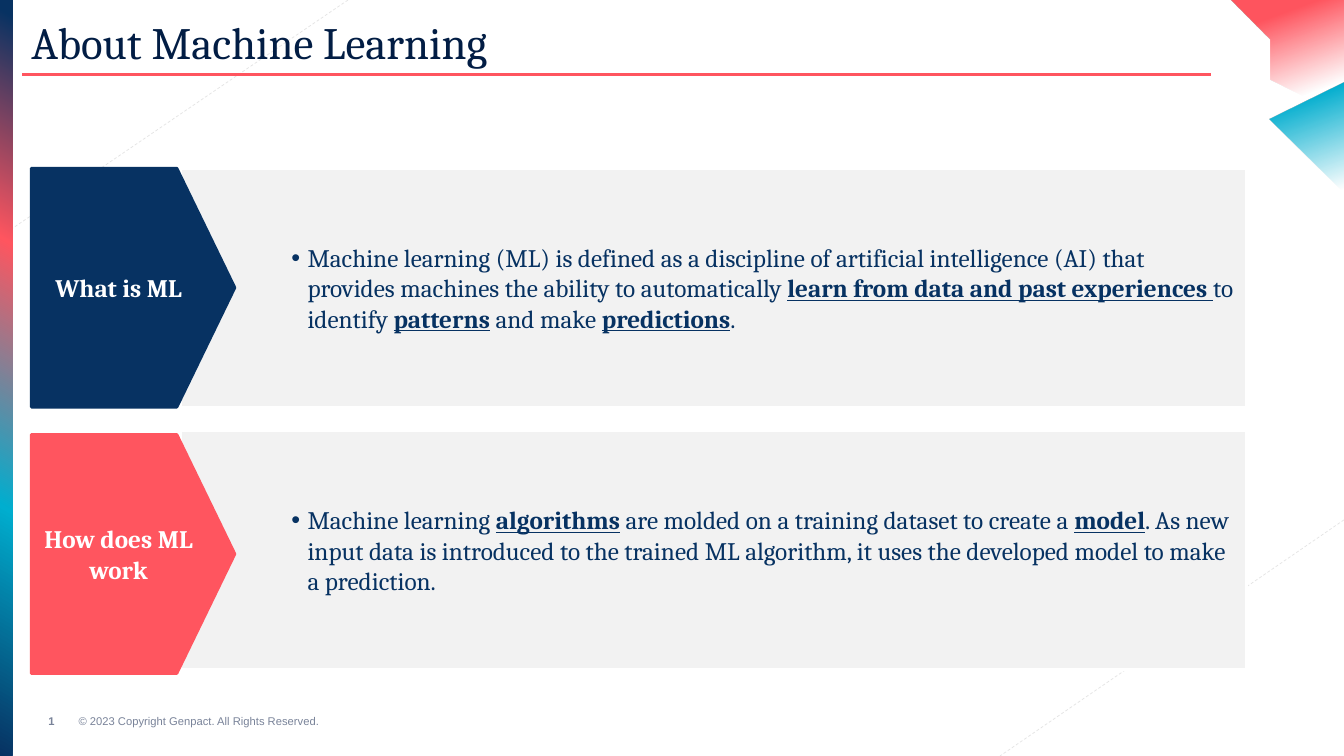
from dataclasses import dataclass

from pptx import Presentation
from pptx.dml.color import RGBColor
from pptx.enum.dml import MSO_LINE
from pptx.enum.shapes import MSO_CONNECTOR, MSO_SHAPE
from pptx.enum.text import MSO_ANCHOR, MSO_AUTO_SIZE, PP_ALIGN
from pptx.oxml.ns import qn
from pptx.util import Cm, Pt
from lxml import etree

STRAIGHT = MSO_CONNECTOR.STRAIGHT
PENTAGON = MSO_SHAPE.PENTAGON
RECTANGLE = MSO_SHAPE.RECTANGLE
DASH = MSO_LINE.DASH
MIDDLE = MSO_ANCHOR.MIDDLE
TOP = MSO_ANCHOR.TOP
NO_AUTOFIT = MSO_AUTO_SIZE.NONE
LEFT = PP_ALIGN.LEFT
CENTER = PP_ALIGN.CENTER


@dataclass(frozen=True)
class Theme:
    navy: str = "073262"
    ink: str = "021D44"
    coral: str = "FF555F"
    teal: str = "00AECF"
    panel: str = "F2F2F2"
    white: str = "FFFFFF"
    guide: str = "E4E4E4"
    muted: str = "798399"
    serif: str = "Cambria"
    sans: str = "Arial"
    title_size: int = 32
    body_size: int = 18
    footer_size: int = 8


THEME = Theme()
BAND_HEIGHT = 6.02

SECTIONS = [
    ("What is ML", THEME.navy, 4.24, 4.24, [
        "Machine learning (ML) is defined as a discipline of artificial intelligence (AI) "
        "that provides machines the ability to automatically ",
        "learn from data and past experiences ",
        "to identify ",
        "patterns",
        " and make ",
        "predictions",
        ".",
    ]),
    ("How does ML work", THEME.coral, 10.85, 10.95, [
        "Machine learning ",
        "algorithms",
        " are molded on a training dataset to create a ",
        "model",
        ". As new input data is introduced to the trained ML algorithm, "
        "it uses the developed model to make a prediction.",
    ]),
]


def rgb(color):
    return RGBColor.from_string(color)


def place(shape, left, top, width, height):
    shape.left, shape.top = Cm(left), Cm(top)
    shape.width, shape.height = Cm(width), Cm(height)


def add_span(para, text, *, size=THEME.body_size, color=THEME.navy,
             font=THEME.serif, bold=False, underline=False):
    span = para.add_run()
    span.text = text
    span.font.name = font
    span.font.size = Pt(size)
    span.font.bold = bold
    span.font.underline = underline
    span.font.color.rgb = rgb(color)


def format_frame(frame, margins, anchor=MIDDLE, wrap=True):
    frame.auto_size = NO_AUTOFIT
    frame.word_wrap = wrap
    frame.vertical_anchor = anchor
    (frame.margin_left, frame.margin_top,
     frame.margin_right, frame.margin_bottom) = (Cm(margin) for margin in margins)


def paint(shape, fill, outline):
    shape.fill.solid()
    shape.fill.fore_color.rgb = rgb(fill)
    shape.line.color.rgb = rgb(outline)
    shape.line.width = Pt(2)


def paint_gradient(shape, stops, clockwise_angle):
    shape.shadow.inherit = False
    shape.line.fill.background()
    shape.fill.gradient()
    shape.fill.gradient_angle = 360 - clockwise_angle
    stop_list = shape._element.spPr.find(qn("a:gradFill")).find(qn("a:gsLst"))
    for stop in list(stop_list):
        stop_list.remove(stop)
    for position, color, opacity in stops:
        stop = etree.SubElement(stop_list, qn("a:gs"), pos=str(position * 1000))
        tint = etree.SubElement(stop, qn("a:srgbClr"), val=color)
        if opacity < 100:
            etree.SubElement(tint, qn("a:alpha"), val=str(opacity * 1000))


def add_facet(page, points, color, fade_end):
    builder = page.shapes.build_freeform(*points[0], scale=Cm(1))
    builder.add_line_segments(points[1:], close=True)
    paint_gradient(builder.convert_to_shape(),
                   [(20, color, 100), (fade_end, color, 0)], 70)


def add_rule(page, start, end, color, width, dash=None):
    rule = page.shapes.add_connector(STRAIGHT, *(Cm(value) for value in start + end))
    rule.line.color.rgb = rgb(color)
    rule.line.width = Pt(width)
    if dash:
        rule.line.dash_style = dash
    etree.SubElement(rule._element.spPr, qn("a:effectLst"))
    return rule


def add_guide(page, start, end):
    guide = add_rule(page, start, end, THEME.guide, 0.5, DASH)
    page.shapes._spTree.insert(2, guide._element)


def add_side_bar(page):
    bar = page.shapes.add_shape(RECTANGLE, 0, 0, Cm(0.32), Cm(19.05))
    paint_gradient(bar, [(0, THEME.navy, 100), (33, THEME.teal, 100),
                         (68, THEME.coral, 100), (98, THEME.navy, 100)], 300)


def set_title(page, text):
    title = page.shapes.title
    place(title, 0.79, 0.2, 31.39, 1.68)
    format_frame(title.text_frame, (0, 0.13, 0.25, 0.13))
    para = title.text_frame.paragraphs[0]
    para.alignment = LEFT
    add_span(para, text, size=THEME.title_size, color=THEME.ink)


def set_bullet(para, indent, hanging):
    properties = para._p.get_or_add_pPr()
    properties.set("marL", str(Cm(indent)))
    properties.set("indent", str(-Cm(hanging)))
    etree.SubElement(properties, qn("a:buFont"), typeface=THEME.sans)
    etree.SubElement(properties, qn("a:buChar"), char="•")


def fill_band(band, top, spans):
    place(band, 4.55, top, 26.87, BAND_HEIGHT)
    paint(band, THEME.panel, THEME.white)
    format_frame(band.text_frame, (1.52, 0.13, 0.25, 0.13))
    para = band.text_frame.paragraphs[0]
    para.level = 1
    set_bullet(para, 1.68, 0.41)
    para.alignment = LEFT
    para.space_before = Pt(0)
    for index, text in enumerate(spans):
        emphasis = index % 2 == 1
        add_span(para, text, bold=emphasis, underline=emphasis)


def add_label(page, text, color, top):
    label = page.shapes.add_shape(PENTAGON, Cm(0.79), Cm(top), Cm(5.13), Cm(BAND_HEIGHT))
    label.adjustments[0] = 0.285
    label.shadow.inherit = False
    paint(label, color, color)
    format_frame(label.text_frame, (0.25, 0.13, 0.25, 0.13))
    para = label.text_frame.paragraphs[0]
    para.alignment = CENTER
    add_span(para, text, color=THEME.white, bold=True)


def add_footer(page, text, left, width, anchor=TOP, wrap=True, bold=False):
    box = page.shapes.add_textbox(Cm(left), Cm(18.01), Cm(width), Cm(0.33))
    format_frame(box.text_frame, (0, 0, 0, 0), anchor, wrap)
    add_span(box.text_frame.paragraphs[0], text, size=THEME.footer_size,
             color=THEME.muted, font=THEME.sans, bold=bold)


def main():
    deck = Presentation()
    deck.slide_width, deck.slide_height = Cm(33.87), Cm(19.05)
    page = deck.slides.add_slide(deck.slide_layouts[3])

    add_guide(page, (8.77, 0), (0.32, 5.75))
    add_guide(page, (33.87, 13.1), (25.2, 19.05))
    add_facet(page, [(30.53, 0), (32.46, 1.32), (31.88, 1.75), (33.85, 3.05), (33.87, 0)],
              THEME.coral, 75)
    add_facet(page, [(33.87, 1.83), (31.9, 3.2), (33.87, 4.6)], THEME.teal, 92)
    add_side_bar(page)

    set_title(page, "About Machine Learning")
    add_rule(page, (0.56, 1.88), (30.53, 1.88), THEME.coral, 1.75)

    for index, (label, color, band_top, label_top, spans) in enumerate(SECTIONS, start=1):
        fill_band(page.placeholders[index], band_top, spans)
        add_label(page, label, color, label_top)

    add_footer(page, "1", 1.22, 0.36, anchor=MIDDLE, wrap=False, bold=True)
    add_footer(page, "© 2023 Copyright Genpact. All Rights Reserved.", 1.98, 6.65)
    deck.save("out.pptx")


if __name__ == "__main__":
    main()
